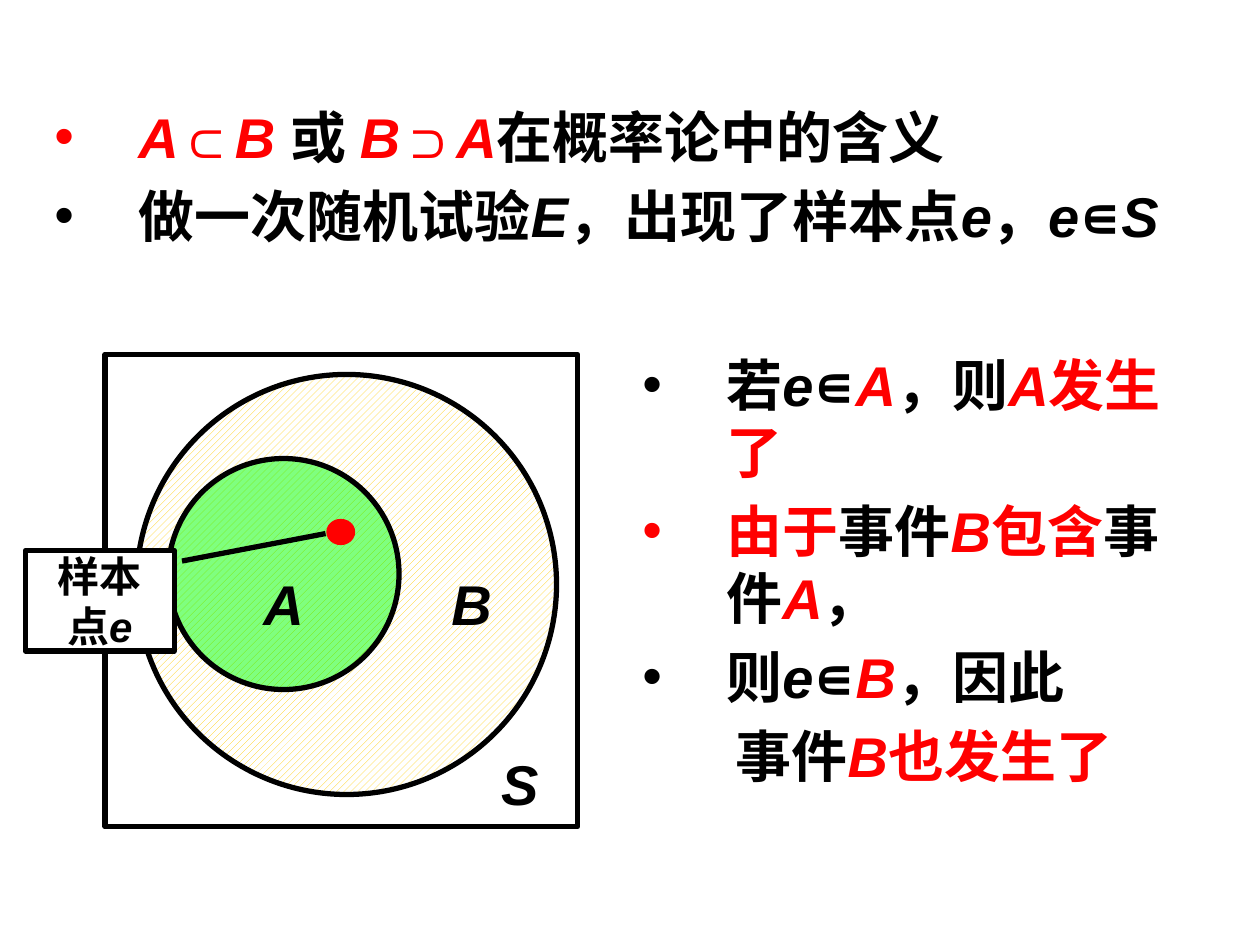
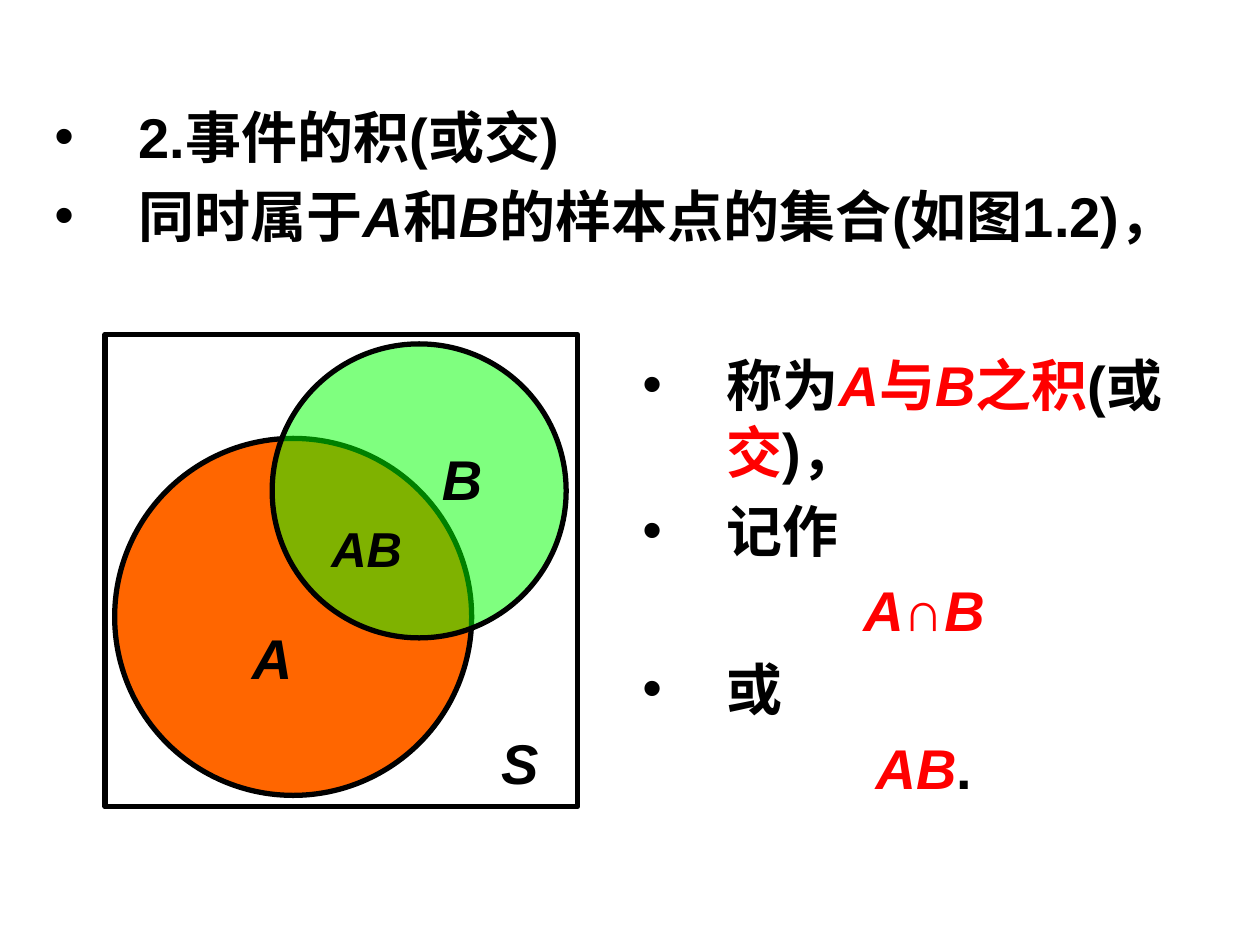
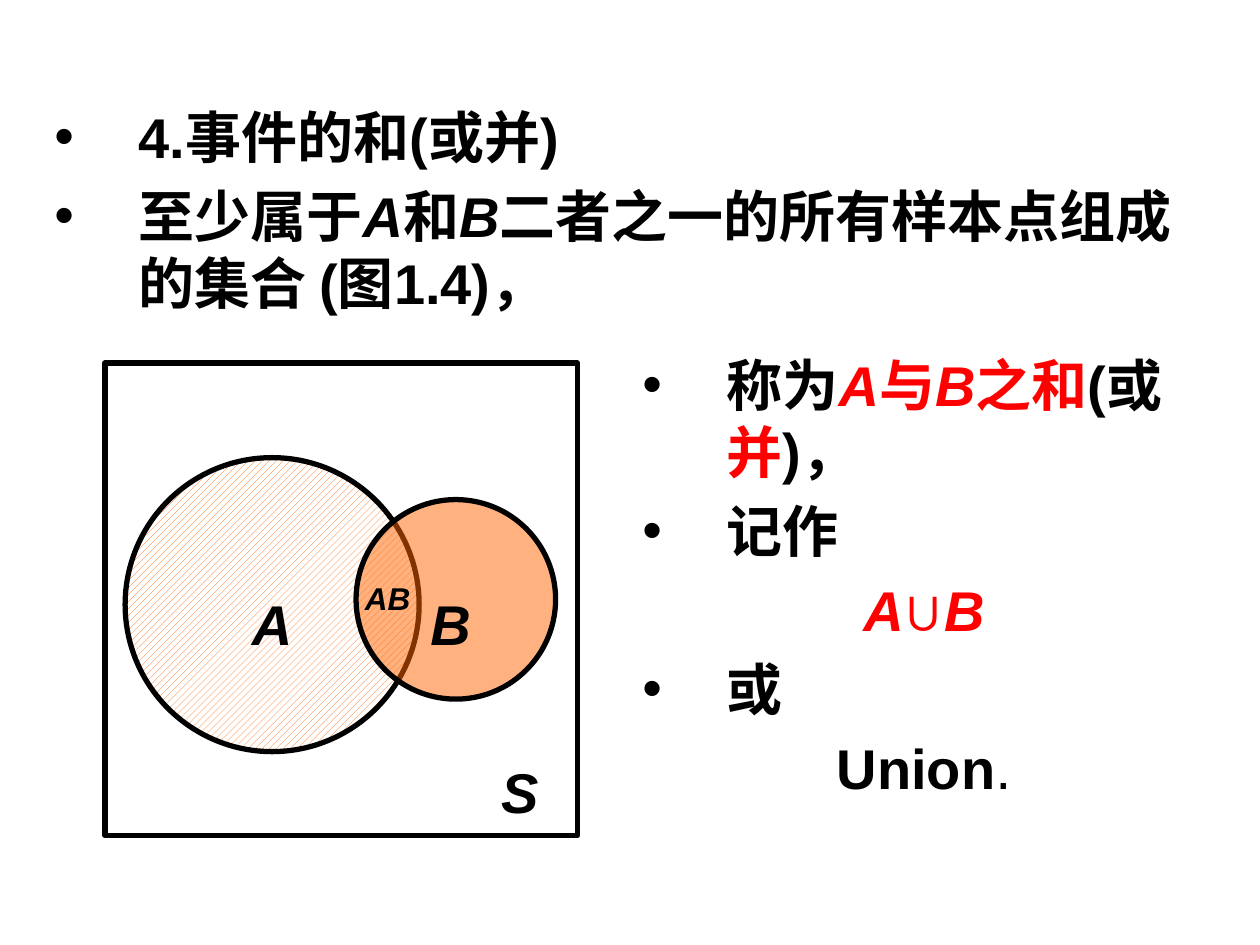
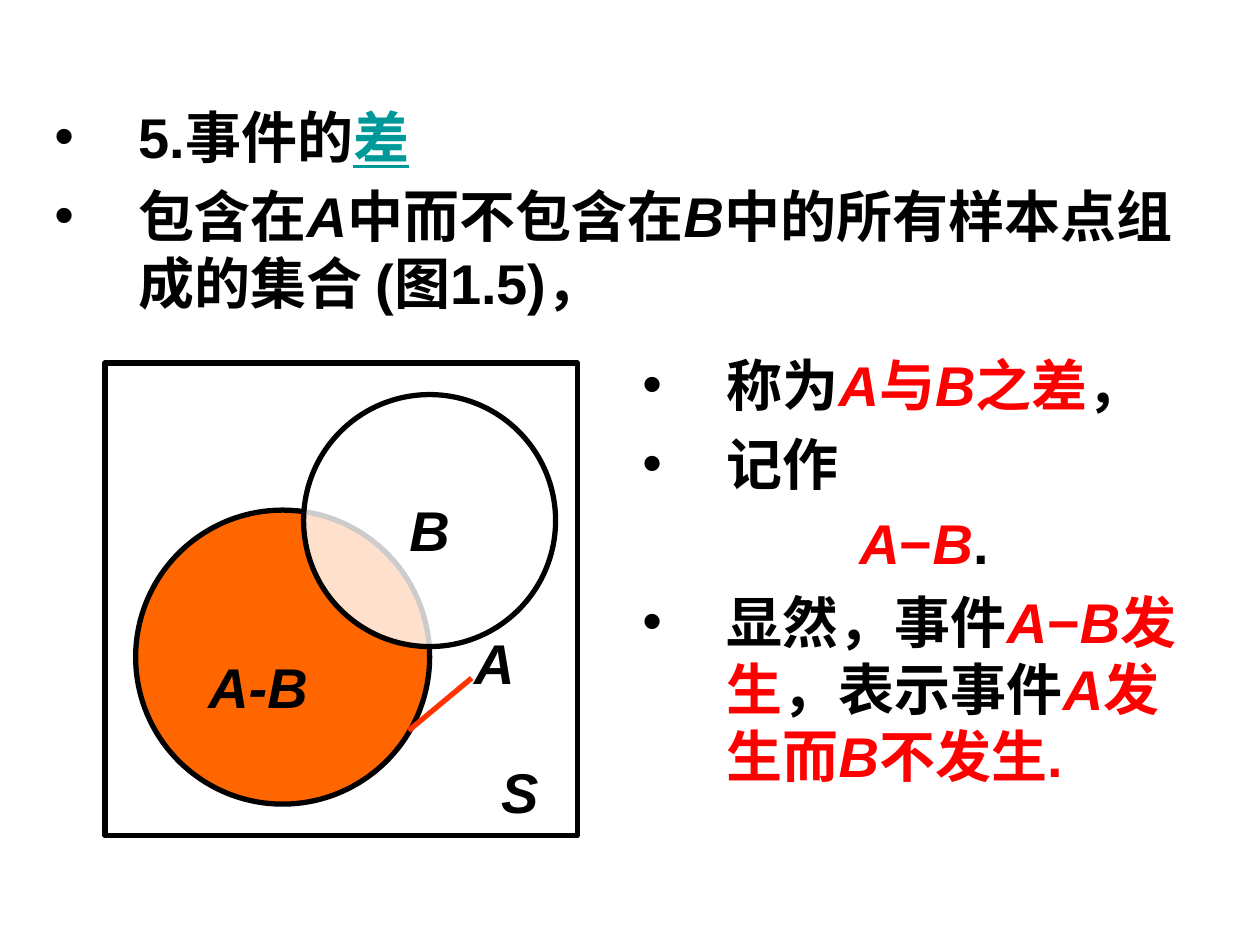
from lxml import etree
from pptx import Presentation
from pptx import util as u
from pptx.dml.color import RGBColor
from pptx.enum import dml, shapes, text
from pptx.oxml.ns import qn

BLACK, WHITE, RED, TEAL = "000000", "FFFFFF", "FF0000", "009999"
ORANGE, GREEN, YELLOW, FLAME = "FF6600", "00FF00", "FFCC00", "FF3300"
LATIN, CHINESE = "Arial", "Noto Sans CJK SC"
CENTER = text.PP_ALIGN.CENTER

# Inline marks: each switches one style on or off
MARKS = {"*": "italic", "^": "red", "_": "term", "~": "light"}


def color(value):
    return RGBColor.from_string(value)


def add_xml(parent, tag, **attributes):
    return etree.SubElement(parent, qn(tag), attributes)


def split_marks(line):
    """Yield (words, active styles) for a line holding inline marks."""
    words, active = "", set()
    for char in line:
        if char in MARKS:
            if words:
                yield words, frozenset(active)
            words = ""
            active ^= {MARKS[char]}
        else:
            words += char
    if words:
        yield words, frozenset(active)


def write(frame, lines, size=32, align=None, bullets=False):
    """Fill a text frame; in a bulleted one, lines starting with > are centred."""
    for number, line in enumerate(lines):
        paragraph = frame.paragraphs[0] if number == 0 else frame.add_paragraph()
        centred = line.startswith(">")
        paragraph.alignment = CENTER if centred else align
        if bullets:
            paragraph.space_before = u.Pt(6.8)
            properties = paragraph._p.get_or_add_pPr()
            properties.set("marL", str(u.Pt(48)))
            properties.set("indent", str(u.Pt(-48)))
            if not centred:
                add_xml(properties, "a:buFont", typeface=LATIN)
                add_xml(properties, "a:buChar", char="•")
        for words, styles in split_marks(line.removeprefix(">")):
            run = paragraph.add_run()
            run.text = words
            font = run.font
            font.size = u.Pt(size)
            font.bold = "light" not in styles
            font.italic = "italic" in styles
            font.underline = "term" in styles
            font.color.rgb = color(
                TEAL if "term" in styles else RED if "red" in styles else BLACK)
            font.name = LATIN
            add_xml(run._r.get_or_add_rPr(), "a:ea", typeface=CHINESE)


class Deck:
    """Holds the shared style and the current slide."""

    line_width = 3
    frame_left, frame_side = 60, 270

    def __init__(self):
        self.presentation = Presentation()
        self.presentation.slide_width = u.Pt(720)
        self.presentation.slide_height = u.Pt(540)

    def new_slide(self, definition, explanation, frame_top):
        """Start a slide: definition on top, explanation at right, sample space."""
        self.slide = self.presentation.slides.add_slide(
            self.presentation.slide_layouts[6])
        self.bullets(24, 55, 672, 130, definition)
        self.bullets(360, 196.5, 336, 265.5, explanation)
        self.shape(shapes.MSO_SHAPE.RECTANGLE, self.frame_left, frame_top,
                   self.frame_side, self.frame_side)
        self.label("S", 276, frame_top + 222, 42)

    def bullets(self, left, top, width, height, lines):
        box = self.slide.shapes.add_textbox(
            u.Pt(left), u.Pt(top), u.Pt(width), u.Pt(height))
        box.text_frame.word_wrap = True
        write(box.text_frame, lines, bullets=True)

    def label(self, name, left, top, width=60, size=32):
        box = self.slide.shapes.add_textbox(
            u.Pt(left), u.Pt(top), u.Pt(width), u.Pt(size * 1.2 + 7))
        box.text_frame.word_wrap = True
        box.text_frame.auto_size = text.MSO_AUTO_SIZE.SHAPE_TO_FIT_TEXT
        write(box.text_frame, [f"*{name}*"], size=size, align=CENTER)

    def shape(self, kind, left, top, width, height,
              fill=WHITE, line=BLACK, opacity=100, hatched=False):
        item = self.slide.shapes.add_shape(
            kind, u.Pt(left), u.Pt(top), u.Pt(width), u.Pt(height))
        item.shadow.inherit = False
        if hatched:
            item.fill.patterned()
            item.fill.pattern = dml.MSO_PATTERN.WIDE_UPWARD_DIAGONAL
            item.fill.fore_color.rgb = color(fill)
            item.fill.back_color.rgb = color(WHITE)
        else:
            item.fill.solid()
            item.fill.fore_color.rgb = color(fill)
        if opacity < 100:
            tint = item.element.spPr.find(".//" + qn("a:srgbClr"))
            add_xml(tint, "a:alpha", val=str(opacity * 1000))
        item.line.color.rgb = color(line)
        item.line.width = u.Pt(self.line_width)
        return item

    def event(self, left, top, diameter, fill, **style):
        """Draw the circle of an event."""
        self.shape(shapes.MSO_SHAPE.OVAL, left, top, diameter, diameter,
                   fill, **style)

    def callout(self, words, left, top, width, height, pointer):
        note = self.shape(shapes.MSO_SHAPE.LINE_CALLOUT_1, left, top, width, height)
        for index, value in enumerate(pointer):
            note.adjustments[index] = value
        note.text_frame.word_wrap = True
        note.text_frame.vertical_anchor = text.MSO_ANCHOR.MIDDLE
        write(note.text_frame, [words], size=24, align=CENTER)

    def line(self, x1, y1, x2, y2, stroke):
        leader = self.slide.shapes.add_connector(
            shapes.MSO_CONNECTOR.STRAIGHT, u.Pt(x1), u.Pt(y1), u.Pt(x2), u.Pt(y2))
        leader.line.color.rgb = color(stroke)
        leader.line.width = u.Pt(self.line_width)
        add_xml(leader.element.spPr, "a:effectLst")


def inclusion(deck):
    deck.new_slide(
        ["^*A*⊂*B *^或 ^*B*⊃*A*^在概率论中的含义",
         "做一次随机试验*E*，出现了样本点*e*，*e*∊*S*"],
        ["若*e*∊^*A*^，则^*A*发生了^",
         "^由于^事件^*B*包含^事件^*A*^，",
         "则*e*∊^*B*^，因此",
         ">事件^*B*也发生了^"],
        frame_top=202.5)
    deck.event(78, 214, 240, YELLOW, hatched=True)
    deck.label("B", 245.5, 322, 48)
    deck.event(96, 262, 132, GREEN, opacity=50)
    deck.label("A", 132, 322)
    # Sample point and its note
    deck.shape(shapes.MSO_SHAPE.OVAL, 188, 298, 13.5, 12, RED, RED)
    deck.callout("样本点*e*", 14.5, 314.5, 85, 57.5, (0.107, 1.053, -0.167, 2.018))


def named_operation(operation, synonym, *notation):
    """Lines that name an operation on A and B and give its notation."""
    first, second = notation
    return [f"称为^*A*与*B*之{operation}^(或^{synonym}^)，",
            "记作", ">" + first, "或", ">" + second]


def product(deck):
    deck.new_slide(
        ["2.事件的积(或交)", "同时属于*A*和*B*的样本点的集合(如图1.2)，"],
        named_operation("积", "交", "^*A*∩*B*^", "^*AB*^."),
        frame_top=191)
    deck.event(65.5, 250.5, 204, ORANGE)
    deck.label("A", 125.5, 353)
    deck.event(155.5, 196.5, 168, GREEN, opacity=50)
    deck.label("B", 240, 250.5, 48)
    deck.label("AB", 179.5, 292.5, size=28)


def union(deck):
    deck.new_slide(
        ["4.事件的和(或并)", "至少属于*A*和*B*二者之一的所有样本点组成的集合 (图1.4)，"],
        named_operation("和", "并", "^*A*∪*B*^", "Union~.~"),
        frame_top=207.5)
    deck.event(71.5, 261.5, 168, ORANGE, hatched=True)
    deck.label("A", 125.5, 333.5)
    deck.event(203.5, 285.5, 114, ORANGE, opacity=50)
    deck.label("B", 227.5, 333.5)
    deck.label("AB", 191.5, 327.5, size=18)


def difference(deck):
    deck.new_slide(
        ["5.事件的_差_", "包含在*A*中而不包含在*B*中的所有样本点组成的集合 (图1.5)，"],
        ["称为^*A*与*B*之差^，",
         "记作",
         ">^*A*−*B*^.",
         "显然，事件^*A*−*B*发生^，表示事件^*A*发生而*B*不发生.^"],
        frame_top=207.5)
    deck.event(77.5, 291.5, 168, ORANGE)
    deck.label("A-B", 110, 369.5, 75)
    deck.event(173.5, 225.5, 144, WHITE, opacity=80)
    deck.label("B", 221.5, 279.5, 48)
    # Leader from the name A to its circle
    deck.line(233.5, 417.5, 269.5, 387.5, FLAME)
    deck.label("A", 263.5, 355.5, 38)


def main():
    deck = Deck()
    for build in (inclusion, product, union, difference):
        build(deck)
    deck.presentation.save("out.pptx")


if __name__ == "__main__":
    main()
